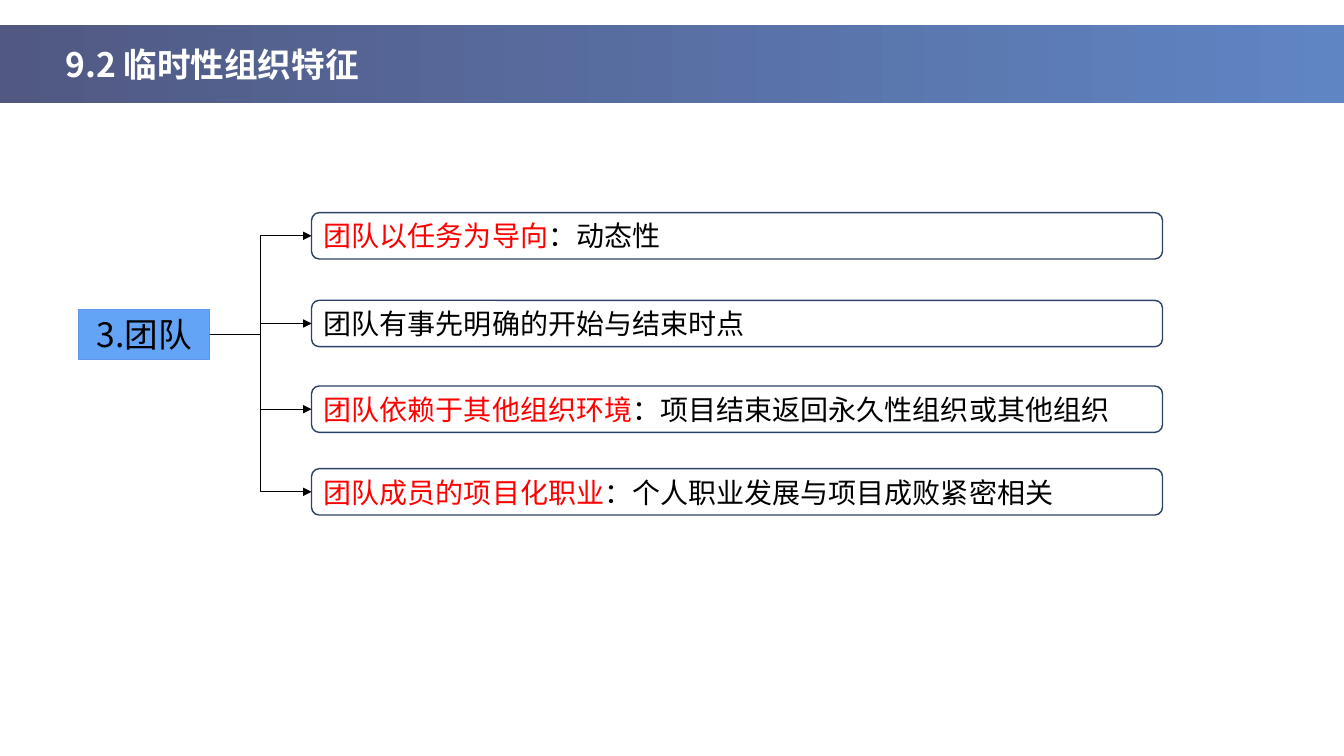
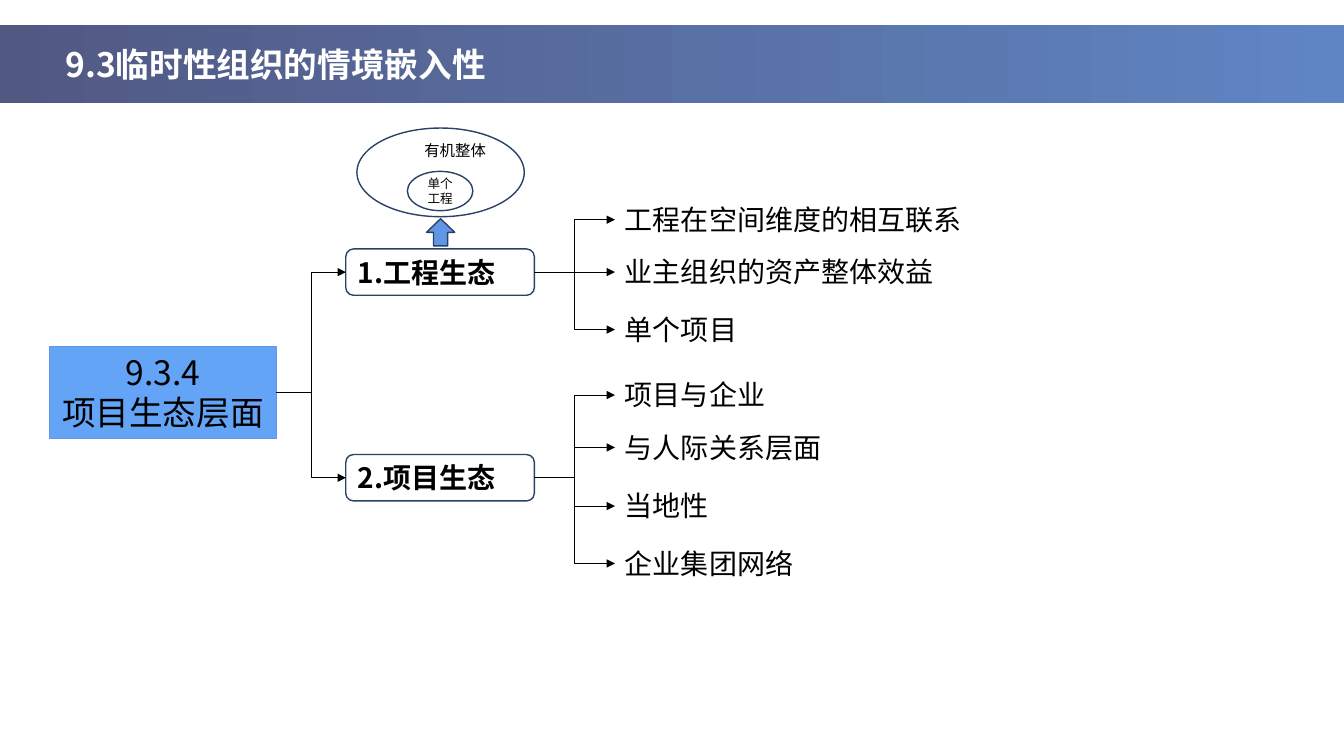
from lxml import etree
from pptx import Presentation
from pptx.dml.color import RGBColor
from pptx.enum.shapes import MSO_CONNECTOR as LINE, MSO_SHAPE as SHAPE
from pptx.enum.text import MSO_ANCHOR as ANCHOR, MSO_AUTO_SIZE as AUTO, PP_ALIGN as ALIGN
from pptx.oxml.ns import qn
from pptx.util import Inches, Pt

FONT = "Noto Sans CJK SC"
BLACK, WHITE = RGBColor(0, 0, 0), RGBColor(255, 255, 255)
RED = RGBColor(255, 0, 0)
NAVY = RGBColor(0x2A, 0x42, 0x65)
SKY, BLUE = RGBColor(0x63, 0xA4, 0xF7), RGBColor(0x60, 0x96, 0xE6)
BAND_COLORS = RGBColor(0x51, 0x59, 0x83), RGBColor(0x5F, 0x85, 0xC3)

WIDTH, HEIGHT = 13.33, 7.5
BOX_H, LEAF_H = 0.46, 0.44
RIGHT, LEFT = 3, 1  # connection sites

# Each row: vertical centre, highlighted words, plain words
TEAM = {
    "title": "9.2 临时性组织特征",
    "root": (["3.团队"], (0.78, 3.07, 1.3, 0.5)),
    "column": (3.09, 8.44),
    "rows": [
        (2.34, "团队以任务为导向", "：动态性"),
        (3.21, "", "团队有事先明确的开始与结束时点"),
        (4.06, "团队依赖于其他组织环境", "：项目结束返回永久性组织或其他组织"),
        (4.88, "团队成员的项目化职业", "：个人职业发展与项目成败紧密相关"),
    ],
}

# Each branch: vertical centre, name, leaves with their own centres
ECOLOGY = {
    "title": "9.3临时性组织的情境嵌入性",
    "root": (["9.3.4", "项目生态层面"], (0.49, 3.44, 2.25, 0.91)),
    "column": (3.43, 1.87),
    "leaf_column": (6.1, 4.73),
    "branches": [
        (2.7, "1.工程生态", [(2.18, "工程在空间维度的相互联系"),
                         (2.7, "业主组织的资产整体效益"),
                         (3.27, "单个项目")]),
        (4.74, "2.项目生态", [(3.92, "项目与企业"),
                          (4.44, "与人际关系层面"),
                          (5.02, "当地性"),
                          (5.59, "企业集团网络")]),
    ],
}


def write(sp, paragraphs, size=20, bold=False, align=ALIGN.LEFT,
          anchor=ANCHOR.MIDDLE, grow=False):
    """Fill a shape with paragraphs, each a list of (text, colour) runs."""
    tf = sp.text_frame
    tf.word_wrap = True
    tf.vertical_anchor = anchor
    if grow:
        tf.auto_size = AUTO.SHAPE_TO_FIT_TEXT
    for i, runs in enumerate(paragraphs):
        p = tf.paragraphs[0] if i == 0 else tf.add_paragraph()
        p.alignment = align
        for text, color in runs:
            r = p.add_run()
            r.text = text
            r.font.size, r.font.bold, r.font.name = Pt(size), bold, FONT
            r.font.color.rgb = color
            etree.SubElement(r.font._element, qn("a:ea"), typeface=FONT)


def add_shape(s, kind, at, fill=None, line=None, line_width=1):
    sp = s.shapes.add_shape(kind, *map(Inches, at))
    sp.shadow.inherit = False
    if fill is None:
        sp.fill.background()
    else:
        sp.fill.solid()
        sp.fill.fore_color.rgb = fill
    if line is None:
        sp.line.fill.background()
    else:
        sp.line.color.rgb = line
        sp.line.width = Pt(line_width)
    return sp


def add_text(s, text, at, color=BLACK, **fmt):
    sp = s.shapes.add_textbox(*map(Inches, at))
    write(sp, [[(text, color)]], anchor=ANCHOR.TOP, grow=True, **fmt)
    return sp


def add_box(s, column, center, runs, **fmt):
    left, width = column
    at = (left, center - BOX_H / 2, width, BOX_H)
    sp = add_shape(s, SHAPE.ROUNDED_RECTANGLE, at, WHITE, NAVY)
    write(sp, [runs], **fmt)
    return sp


def link(s, parent, child):
    """Bent arrow from the parent's right side to the child's left side."""
    c = s.shapes.add_connector(
        LINE.ELBOW,
        parent.left + parent.width, parent.top + parent.height // 2,
        child.left, child.top + child.height // 2)
    c.begin_connect(parent, RIGHT)
    c.end_connect(child, LEFT)
    c.line.color.rgb = BLACK
    c.line.width = Pt(0.5)
    etree.SubElement(c.line._get_or_add_ln(), qn("a:tailEnd"), type="triangle")
    etree.SubElement(c._element.spPr, qn("a:effectLst"))


def start_slide(prs, content):
    """Add a slide with its title band and root box; return slide and root."""
    s = prs.slides.add_slide(prs.slide_layouts[6])
    band = add_shape(s, SHAPE.RECTANGLE, (0, 0.25, WIDTH, 0.77))
    band.fill.gradient()
    band.fill.gradient_angle = 0
    for stop, color in zip(band.fill.gradient_stops, BAND_COLORS):
        stop.color.rgb = color
    add_text(s, content["title"], (0.55, 0.39, 5.69, 0.5), WHITE, size=24, bold=True)
    lines, at = content["root"]
    root = add_shape(s, SHAPE.RECTANGLE, at, SKY, BLUE, 0.75)
    write(root, [[(line, BLACK)] for line in lines], size=24,
          align=ALIGN.CENTER, anchor=ANCHOR.TOP, grow=True)
    return s, root


def build_team(prs):
    s, root = start_slide(prs, TEAM)
    for center, key, rest in TEAM["rows"]:
        runs = [(text, color) for text, color in ((key, RED), (rest, BLACK)) if text]
        link(s, root, add_box(s, TEAM["column"], center, runs))


def build_ecology(prs):
    s, root = start_slide(prs, ECOLOGY)
    leaf_left, leaf_width = ECOLOGY["leaf_column"]
    for center, name, leaves in ECOLOGY["branches"]:
        box = add_box(s, ECOLOGY["column"], center, [(name, BLACK)], bold=True)
        link(s, root, box)
        for leaf_center, text in leaves:
            at = (leaf_left, leaf_center - LEAF_H / 2, leaf_width, LEAF_H)
            link(s, box, add_text(s, text, at))

    add_shape(s, SHAPE.OVAL, (3.54, 1.27, 1.66, 0.88), line=NAVY)
    single = add_shape(s, SHAPE.OVAL, (4.04, 1.7, 0.65, 0.39), line=NAVY)
    write(single, [[("单个工程", BLACK)]], size=9, align=ALIGN.CENTER)
    add_text(s, "有机整体", (4.11, 1.35, 0.91, 0.29), size=11)
    add_shape(s, SHAPE.UP_ARROW, (4.23, 2.17, 0.28, 0.27), BLUE, NAVY)


def main():
    prs = Presentation()
    prs.slide_width, prs.slide_height = Inches(WIDTH), Inches(HEIGHT)
    build_team(prs)
    build_ecology(prs)
    prs.save("out.pptx")


if __name__ == "__main__":
    main()
